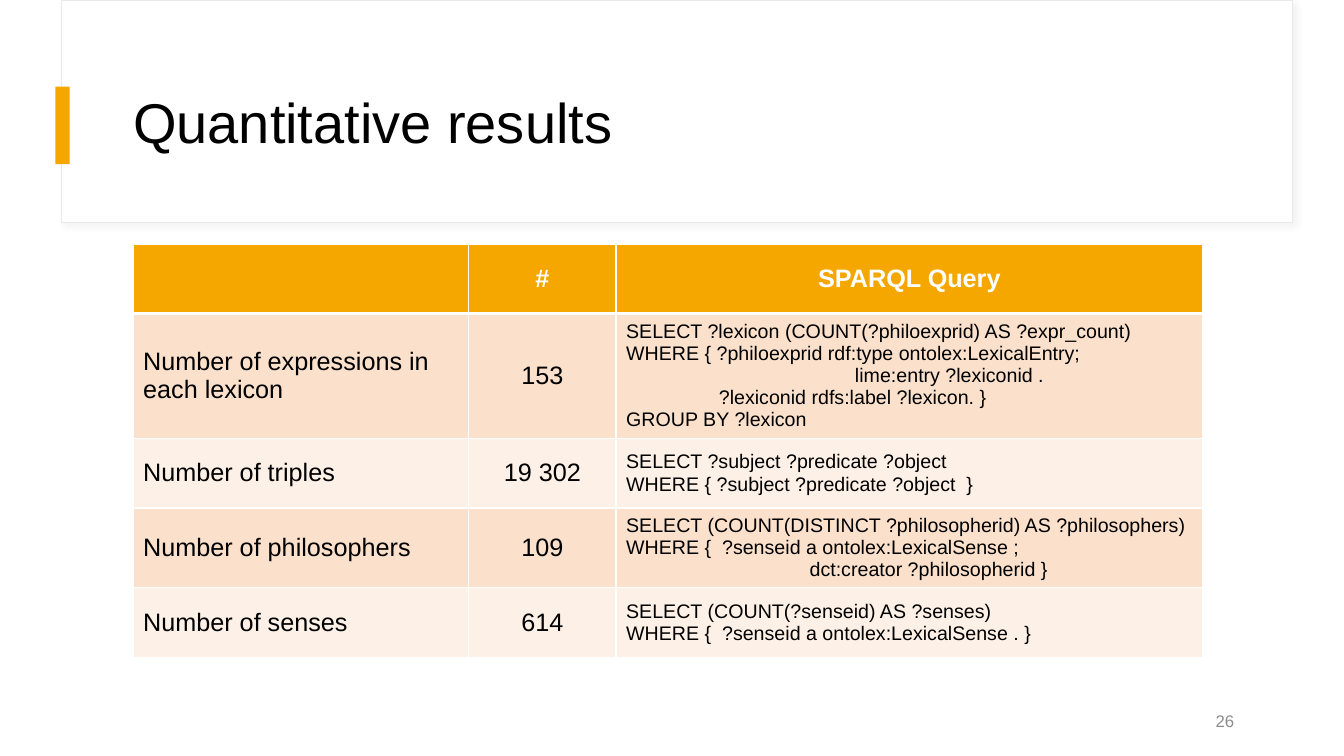
from lxml import etree
from pptx import Presentation
from pptx.dml.color import RGBColor
from pptx.enum.shapes import MSO_SHAPE as Shape
from pptx.enum.text import MSO_ANCHOR as Anchor, PP_ALIGN as Align
from pptx.oxml import parse_xml
from pptx.oxml.ns import nsdecls, qn
from pptx.util import Inches, Pt

TITLE = "Quantitative results"
PAGE_NUMBER = "26"
HEADER = ["", "#", "SPARQL Query"]
RESULTS = [
    ("Number of expressions in each lexicon", "153", [
        ("SELECT ?lexicon (COUNT(?philoexprid) AS ?expr_count)", 0),
        ("WHERE { ?philoexprid rdf:type ontolex:LexicalEntry;", 0),
        ("lime:entry ?lexiconid .", 2.27),
        ("?lexiconid rdfs:label ?lexicon. }", 0.92),
        ("GROUP BY ?lexicon", 0)]),
    ("Number of triples", "19 302", [
        ("SELECT ?subject ?predicate ?object", 0),
        ("WHERE { ?subject ?predicate ?object  }", 0)]),
    ("Number of philosophers", "109", [
        ("SELECT (COUNT(DISTINCT ?philosopherid) AS ?philosophers)", 0),
        ("WHERE {  ?senseid a ontolex:LexicalSense ;", 0),
        ("dct:creator ?philosopherid }", 1.82)]),
    ("Number of senses", "614", [
        ("SELECT (COUNT(?senseid) AS ?senses)", 0),
        ("WHERE {  ?senseid a ontolex:LexicalSense . }", 0)]),
]
COLUMN_WIDTHS = [3.33, 1.46, 5.82]
ROW_HEIGHTS = [0.69, 1.24, 0.69, 0.79, 0.69]

FONT = "Arial"
BLACK = RGBColor(0x00, 0x00, 0x00)
WHITE = RGBColor(0xFF, 0xFF, 0xFF)
ORANGE = RGBColor(0xF5, 0xA7, 0x00)
PEACH = RGBColor(0xFB, 0xE1, 0xCC)
CREAM = RGBColor(0xFD, 0xF1, 0xE7)
GRAY = RGBColor(0x8C, 0x8C, 0x8C)
FRAME_GRAY = RGBColor(0xE9, 0xE9, 0xE9)
SHADOW_GRAY = RGBColor(0xD9, 0xD9, 0xD9)


def style(paragraph, size, color, align=Align.LEFT, bold=False):
    paragraph.alignment = align
    for run in paragraph.runs:
        run.font.name = FONT
        run.font.size = Pt(size)
        run.font.bold = bold
        run.font.color.rgb = color


def add_rectangle(slide, box, fill, line=None):
    shape = slide.shapes.add_shape(Shape.RECTANGLE, *map(Inches, box))
    shape.shadow.inherit = False
    shape.fill.solid()
    shape.fill.fore_color.rgb = fill
    if line is None:
        shape.line.fill.background()
    else:
        shape.line.color.rgb = line
        shape.line.width = Pt(0.75)
    return shape


def add_soft_shadow(shape):
    effects = shape.element.spPr.find(qn("a:effectLst"))
    effects.append(parse_xml(
        f'<a:outerShdw {nsdecls("a")} blurRad="{Pt(4)}" dist="{Pt(3)}" dir="2700000">'
        f'<a:srgbClr val="{SHADOW_GRAY}"><a:alpha val="30000"/></a:srgbClr></a:outerShdw>'))


def format_cell(cell, fill, bottom_width, top_width):
    cell.vertical_anchor = Anchor.MIDDLE
    properties = cell._tc.get_or_add_tcPr()
    for side, width in (("lnL", 1), ("lnR", 1), ("lnT", top_width), ("lnB", bottom_width)):
        border = etree.SubElement(properties, qn(f"a:{side}"), w=str(Pt(width)))
        solid = etree.SubElement(border, qn("a:solidFill"))
        etree.SubElement(solid, qn("a:srgbClr"), val=str(WHITE))
    cell.fill.solid()
    cell.fill.fore_color.rgb = fill


def fill_query(cell, lines):
    cell.text_frame.text = "\n".join(text for text, indent in lines)
    for paragraph, (text, indent) in zip(cell.text_frame.paragraphs, lines):
        style(paragraph, 14, BLACK)
        if indent:
            paragraph._p.get_or_add_pPr().set("marL", str(Inches(indent)))


def add_results_table(slide):
    frame = slide.shapes.add_table(
        len(ROW_HEIGHTS), len(COLUMN_WIDTHS), Inches(1.32), Inches(2.42),
        Inches(sum(COLUMN_WIDTHS)), Inches(sum(ROW_HEIGHTS)))
    table = frame.table
    for column, width in zip(table.columns, COLUMN_WIDTHS):
        column.width = Inches(width)
    for row, height in zip(table.rows, ROW_HEIGHTS):
        row.height = Inches(height)

    for cell, text in zip(table.rows[0].cells, HEADER):
        format_cell(cell, ORANGE, 3, 1)
        cell.text_frame.text = text
        style(cell.text_frame.paragraphs[0], 18, WHITE, Align.CENTER, True)

    for index, (label, count, query) in enumerate(RESULTS, start=1):
        label_cell, count_cell, query_cell = table.rows[index].cells
        for cell in (label_cell, count_cell, query_cell):
            format_cell(cell, PEACH if index % 2 else CREAM, 1, 3 if index == 1 else 1)
        label_cell.text_frame.text = label
        style(label_cell.text_frame.paragraphs[0], 18, BLACK)
        count_cell.text_frame.text = count
        style(count_cell.text_frame.paragraphs[0], 18, BLACK, Align.CENTER)
        fill_query(query_cell, query)


def main():
    presentation = Presentation()
    presentation.slide_width = Inches(13.33)
    presentation.slide_height = Inches(7.5)
    slide = presentation.slides.add_slide(presentation.slide_layouts[5])

    title_frame = add_rectangle(slide, (0.61, 0, 12.21, 2.21), WHITE, FRAME_GRAY)
    add_soft_shadow(title_frame)
    add_rectangle(slide, (0.55, 0.86, 0.14, 0.77), ORANGE)

    title = slide.shapes.title
    slide.shapes.element.append(title.element)
    title.left, title.top, title.width, title.height = map(Inches, (1.22, 0.6, 11.12, 1.29))
    title.text_frame.text = TITLE
    title.text_frame.vertical_anchor = Anchor.MIDDLE
    title.text_frame.paragraphs[0].line_spacing = 0.9
    style(title.text_frame.paragraphs[0], 40, BLACK)

    add_results_table(slide)

    page_number = slide.shapes.add_textbox(*map(Inches, (9.34, 6.95, 3, 0.4)))
    page_number.text_frame.word_wrap = True
    page_number.text_frame.vertical_anchor = Anchor.MIDDLE
    page_number.text_frame.text = PAGE_NUMBER
    style(page_number.text_frame.paragraphs[0], 12, GRAY, Align.RIGHT)

    presentation.save("out.pptx")


if __name__ == "__main__":
    main()
